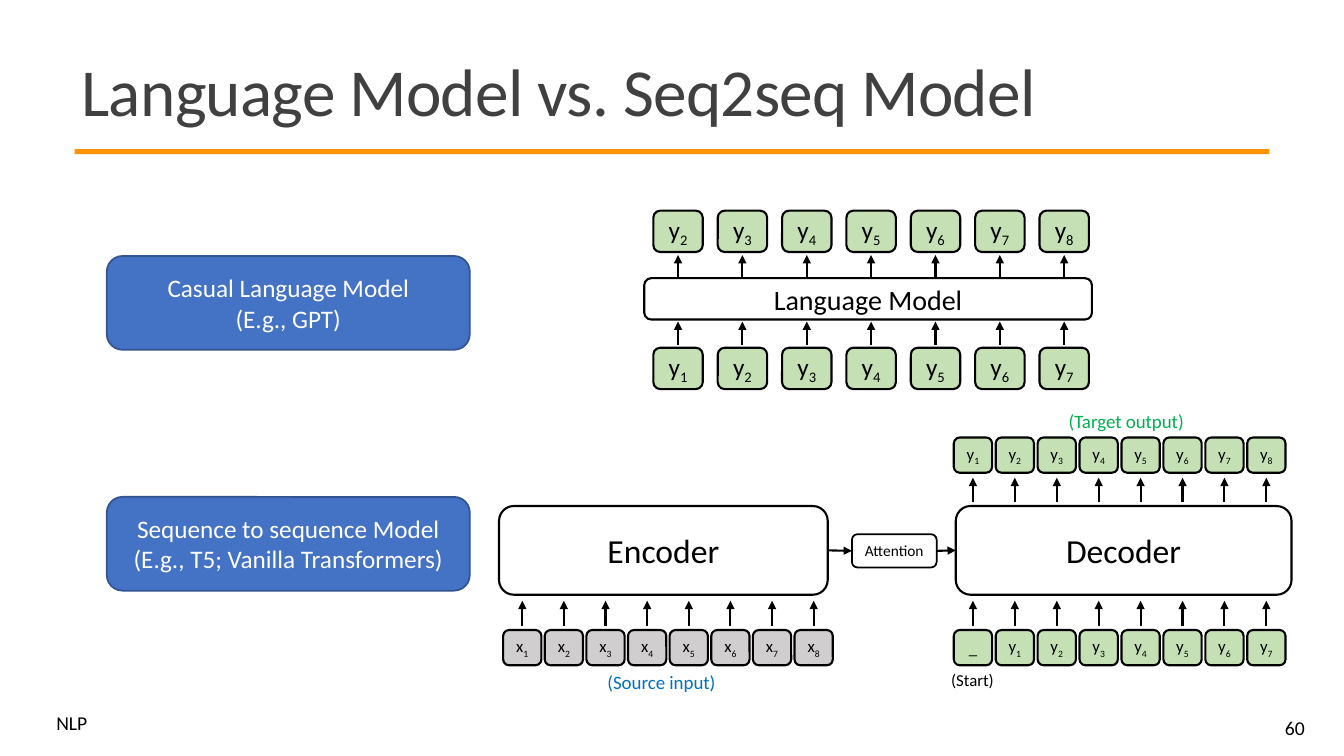
"""Build a slide comparing a language model with a sequence-to-sequence model."""
from lxml import etree
from pptx import Presentation
from pptx.dml.color import RGBColor
from pptx.enum.shapes import MSO_CONNECTOR, MSO_SHAPE
from pptx.enum.text import MSO_ANCHOR, PP_ALIGN
from pptx.oxml.ns import qn
from pptx.util import Inches, Pt

LEFT, CENTER, RIGHT = PP_ALIGN.LEFT, PP_ALIGN.CENTER, PP_ALIGN.RIGHT
TOP, MIDDLE = MSO_ANCHOR.TOP, MSO_ANCHOR.MIDDLE
RECT, ROUNDED = MSO_SHAPE.RECTANGLE, MSO_SHAPE.ROUNDED_RECTANGLE
STRAIGHT = MSO_CONNECTOR.STRAIGHT

FONT = "Calibri"
COLORS = {
    "black": "000000", "white": "FFFFFF", "title": "404040", "rule": "FF9400",
    "blue": "4472C4", "navy": "325491", "gray": "D0CECE", "green": "C5E0B4",
    "target": "00B050", "source": "0070C0",
}

LABELS = [
    ("Language Model vs. Seq2seq Model", (0.71, 0.39, 11.94, 1.13),
     dict(size=48, color="title", align=LEFT, anchor=MIDDLE, line_spacing=0.85, tracking=-50)),
    ("NLP", (0.46, 7.05, 0.61, 0.29), dict(size=14, align=LEFT, line_spacing=0.8)),
    ("60", (11.61, 7.02, 1.43, 0.4), dict(size=14, align=RIGHT, anchor=MIDDLE)),
    ("(Start)", (9.22, 6.6, 0.85, 0.3), dict(size=12)),
    ("(Target output)", (10.31, 4.01, 1.72, 0.33), dict(size=13.5, color="target")),
    ("(Source input)", (5.7, 6.6, 1.72, 0.33), dict(size=13.5, color="source")),
]

CAPTIONS = [
    ("Casual Language Model\n(E.g., GPT)", 2.54),
    ("Sequence to sequence Model\n(E.g., T5; Vanilla Transformers)", 4.93),
]

BLOCKS = [
    ("Language Model", (6.39, 2.76, 4.44, 0.41), 20, 1.5),
    ("Encoder", (4.95, 5.02, 3.26, 0.88), 24, 1.5),
    ("Attention", (8.45, 5.3, 0.84, 0.33), 11, 1.25),
    ("Decoder", (9.48, 5.02, 3.33, 0.88), 24, 1.5),
]
FLOWS = [("Encoder", "Attention"), ("Attention", "Decoder")]

BIG = dict(width=0.49, height=0.41, size=18)
SMALL = dict(width=0.38, height=0.35, size=12)
LM_SPAN, ENCODER_SPAN, DECODER_SPAN = (6.48, 10.31), (4.99, 7.88), (9.46, 12.37)
TOKEN_ROWS = [
    ("y2 y3 y4 y5 y6 y7 y8", LM_SPAN, 2.09, BIG, "green", (2.75, 2.53)),
    ("y1 y2 y3 y4 y5 y6 y7", LM_SPAN, 3.45, BIG, "green", (3.42, 3.19)),
    ("x1 x2 x3 x4 x5 x6 x7 x8", ENCODER_SPAN, 6.25, SMALL, "gray", (6.21, 5.96)),
    ("y1 y2 y3 y4 y5 y6 y7 y8", DECODER_SPAN, 4.34, SMALL, "green", (4.98, 4.74)),
    ("_ y1 y2 y3 y4 y5 y6 y7", DECODER_SPAN, 6.25, SMALL, "green", (6.21, 5.96)),
]


def rgb(name):
    return RGBColor.from_string(COLORS[name])


def write(sp, text, size=18, color="black", align=CENTER, anchor=TOP,
          line_spacing=None, tracking=None, subscript="", margin=None):
    tf = sp.text_frame
    tf.word_wrap = True
    tf.vertical_anchor = anchor
    if margin is not None:
        tf.margin_left = tf.margin_right = Inches(margin)
        tf.margin_top = tf.margin_bottom = Inches(margin)
    for i, line in enumerate(text.split("\n")):
        p = tf.add_paragraph() if i else tf.paragraphs[0]
        p.alignment = align
        if line_spacing:
            p.line_spacing = line_spacing
        for part, baseline in ((line, None), (subscript, "-25000")):
            if not part:
                continue
            r = p.add_run()
            r.text = part
            r.font.name = FONT
            r.font.size = Pt(size)
            r.font.color.rgb = rgb(color)
            rPr = r._r.get_or_add_rPr()
            if baseline:
                rPr.set("baseline", baseline)
            if tracking:
                rPr.set("spc", str(tracking))


def add_box(s, box, preset=ROUNDED, fill=None, line="black", weight=1.5):
    sp = s.shapes.add_shape(preset, *map(Inches, box))
    sp.shadow.inherit = False
    if fill:
        sp.fill.solid()
        sp.fill.fore_color.rgb = rgb(fill)
    else:
        sp.fill.background()
    if line:
        sp.line.color.rgb = rgb(line)
        sp.line.width = Pt(weight)
    else:
        sp.line.fill.background()
    return sp


def add_arrow(s, x1, y1, x2, y2):
    arrow = s.shapes.add_connector(STRAIGHT, *map(Inches, (x1, y1, x2, y2)))
    arrow.line.color.rgb = rgb("black")
    arrow.line.width = Pt(1.5)
    spPr = arrow._element.spPr
    etree.SubElement(spPr.find(qn("a:ln")), qn("a:tailEnd"), type="triangle")
    etree.SubElement(spPr, qn("a:effectLst"))
    return arrow


def add_token_row(s, tokens, span, top, style, fill, arrow_ys):
    tokens = tokens.split()
    first, last = span
    pitch = (last - first) / (len(tokens) - 1)
    width, height = style["width"], style["height"]
    start, end = arrow_ys
    for i, token in enumerate(tokens):
        left = first + i * pitch
        sp = add_box(s, (left, top, width, height), fill=fill)
        write(sp, token[0], subscript=token[1:], size=style["size"], anchor=MIDDLE, margin=0)
        center = left + width / 2
        add_arrow(s, center, start, center, end)


def main():
    prs = Presentation()
    prs.slide_width, prs.slide_height = Inches(13.33), Inches(7.5)
    s = prs.slides.add_slide(prs.slide_layouts[6])

    add_box(s, (0.74, 1.48, 11.85, 0.05), preset=RECT, fill="rule", line=None)
    for text, box, style in LABELS:
        write(s.shapes.add_textbox(*map(Inches, box)), text, **style)
    for text, top in CAPTIONS:
        sp = add_box(s, (1.06, top, 3.6, 0.93), fill="blue", line="navy", weight=1.25)
        write(sp, text, color="white", anchor=MIDDLE)

    blocks = {}
    for name, box, size, weight in BLOCKS:
        blocks[name] = add_box(s, box, weight=weight)
        write(blocks[name], name, size=size, anchor=MIDDLE, margin=0.05)
    for origin, target in FLOWS:
        arrow = add_arrow(s, 0, 0, 1, 1)
        arrow.begin_connect(blocks[origin], 3)
        arrow.end_connect(blocks[target], 1)

    for row in TOKEN_ROWS:
        add_token_row(s, *row)
    prs.save("out.pptx")


if __name__ == "__main__":
    main()
